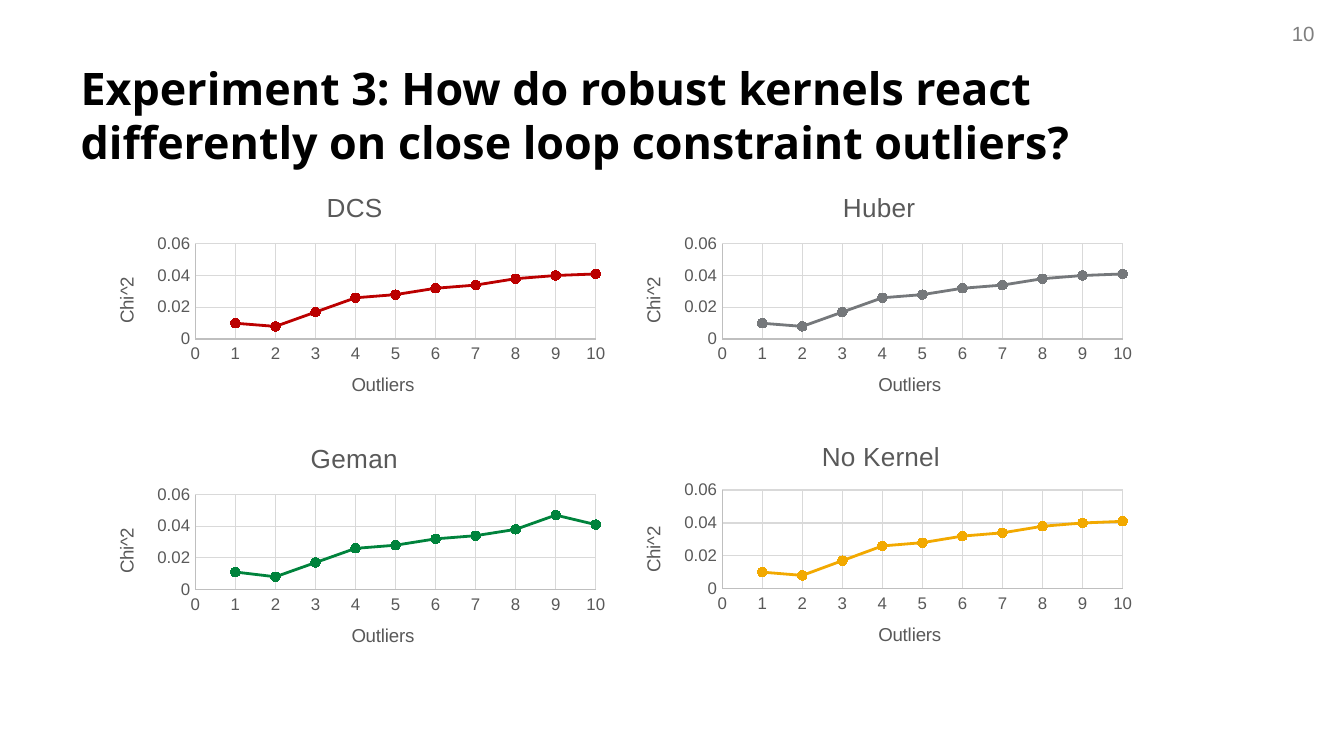
from lxml import etree
from pptx import Presentation
from pptx.chart.data import XyChartData
from pptx.dml.color import RGBColor
from pptx.enum.chart import XL_CHART_TYPE as ChartType, XL_MARKER_STYLE as Marker, XL_TICK_MARK as Tick
from pptx.enum.text import MSO_ANCHOR, MSO_AUTO_SIZE, PP_ALIGN
from pptx.oxml.ns import qn
from pptx.util import Inches, Pt

COLORS = {"title": "000000", "number": "7F7F7F", "label": "595959", "axis": "BFBFBF", "grid": "D9D9D9",
          "DCS": "BB0000", "Huber": "75787B", "Geman": "00833C", "No Kernel": "F2A900"}

CHI_SQUARED = [0.01, 0.008, 0.017, 0.026, 0.028, 0.032, 0.034, 0.038, 0.04, 0.041]
GEMAN_CHI_SQUARED = [0.011, *CHI_SQUARED[1:8], 0.047, 0.041]
LEFT_COLUMN, RIGHT_COLUMN, CHART_WIDTH = 0.67, 4.59, 3.92
PLOT_BOTTOM = 0.66

# kernel, values, left, top, height, title left and plot top as shares of the chart
KERNELS = [
    ("DCS", CHI_SQUARED, LEFT_COLUMN, 1.29, 1.87, 0.44, 0.28),
    ("Huber", CHI_SQUARED, RIGHT_COLUMN, 1.29, 1.87, 0.42, 0.28),
    ("Geman", GEMAN_CHI_SQUARED, LEFT_COLUMN, 3.16, 1.86, 0.41, 0.28),
    ("No Kernel", CHI_SQUARED, RIGHT_COLUMN, 3.14, 1.88, 0.38, 0.27),
]


def set_text(frame, text, size, color, font="Arial", bold=False):
    frame.text = text
    style = frame.paragraphs[0].runs[0].font
    for name, value in {"size": Pt(size), "name": font, "bold": bold}.items():
        setattr(style, name, value)
    style.color.rgb = RGBColor.from_string(COLORS[color])


def place(part, inner=False, **shares):
    """Give a chart title or plot area a fixed place, in shares of the chart."""
    layout = part.find(qn("c:layout"))
    if layout is None:
        layout = etree.Element(qn("c:layout"))
        text = part.find(qn("c:tx"))
        part.insert(0 if text is None else part.index(text) + 1, layout)
    manual = etree.SubElement(layout, qn("c:manualLayout"))
    settings = {"layoutTarget": "inner"} if inner else {}
    settings.update(xMode="edge", yMode="edge", **shares)
    for name, value in settings.items():
        etree.SubElement(manual, qn(f"c:{name}")).set("val", str(value))


prs = Presentation()
prs.slide_width, prs.slide_height = Inches(10), Inches(10 * 9 / 16)
slide = prs.slides.add_slide(prs.slide_layouts[5])

heading = slide.shapes.title
heading.left, heading.top, heading.width, heading.height = map(Inches, (0.5, 0.4, 9, 0.67))
heading_text = heading.text_frame
set_text(heading_text, "Experiment 3: How do robust kernels react differently on close loop constraint outliers?",
         24, "title", "Open Sans", True)
for name, value in {"vertical_anchor": MSO_ANCHOR.TOP, "word_wrap": True, "auto_size": MSO_AUTO_SIZE.NONE}.items():
    setattr(heading_text, name, value)
heading_text.paragraphs[0].alignment = PP_ALIGN.LEFT

page_number = slide.shapes.add_textbox(*map(Inches, (9.33, 0.11, 0.55, 0.29))).text_frame
page_number.word_wrap = True
set_text(page_number, "10", 11, "number")
page_number.paragraphs[0].alignment = PP_ALIGN.RIGHT

for kernel, values, left, top, height, title_left, plot_top in KERNELS:
    data = XyChartData()
    points = data.add_series("Series 1")
    for outliers, chi_squared in enumerate(values, start=1):
        points.add_data_point(outliers, chi_squared)
    chart = slide.shapes.add_chart(ChartType.XY_SCATTER_LINES, Inches(left), Inches(top),
                                   Inches(CHART_WIDTH), Inches(height), data).chart
    chart.has_legend = False
    chart.font.name, chart.font.size = "Arial", Pt(10)
    set_text(chart.chart_title.text_frame, kernel, 14, "label")
    chart.chart_title.include_in_layout = False
    place(chart.chart_title._element, x=title_left, y=0.05)
    place(chart.plots[0]._element.getparent(), inner=True, x=0.2, y=plot_top,
          w=0.76, h=round(PLOT_BOTTOM - plot_top, 2))

    for axis, label, maximum, step, label_left, label_top in (
            (chart.category_axis, "Outliers", 10, 1, 0.49, 0.78),
            (chart.value_axis, "Chi^2", 0.06, 0.02, 0.04, 0.4)):
        for name, value in {"minimum_scale": 0, "maximum_scale": maximum, "major_unit": step,
                            "major_tick_mark": Tick.NONE, "minor_tick_mark": Tick.NONE,
                            "has_major_gridlines": True}.items():
            setattr(axis, name, value)
        for line, color in ((axis.format.line, "axis"), (axis.major_gridlines.format.line, "grid")):
            line.color.rgb = RGBColor.from_string(COLORS[color])
            line.width = Pt(0.75)
        axis.tick_labels.number_format = "General"
        axis.tick_labels.number_format_is_linked = False
        tick_font = axis.tick_labels.font
        tick_font.name, tick_font.size = "Arial", Pt(9)
        tick_font.color.rgb = RGBColor.from_string(COLORS["label"])
        set_text(axis.axis_title.text_frame, label, 10, "label")
        place(axis.axis_title._element, x=label_left, y=label_top)
    chart.value_axis.axis_title.text_frame._txBody.bodyPr.set("rot", "-5400000")

    plot = chart.plots[0]
    plot.vary_by_categories = False
    curve = plot.series[0]
    curve.smooth = False
    kernel_color = RGBColor.from_string(COLORS[kernel])
    curve.format.line.color.rgb = kernel_color
    curve.format.line.width = Pt(1.5)
    curve.marker.style, curve.marker.size = Marker.CIRCLE, 5
    curve.marker.format.fill.solid()
    curve.marker.format.fill.fore_color.rgb = kernel_color
    curve.marker.format.line.color.rgb = kernel_color

prs.save("out.pptx")
